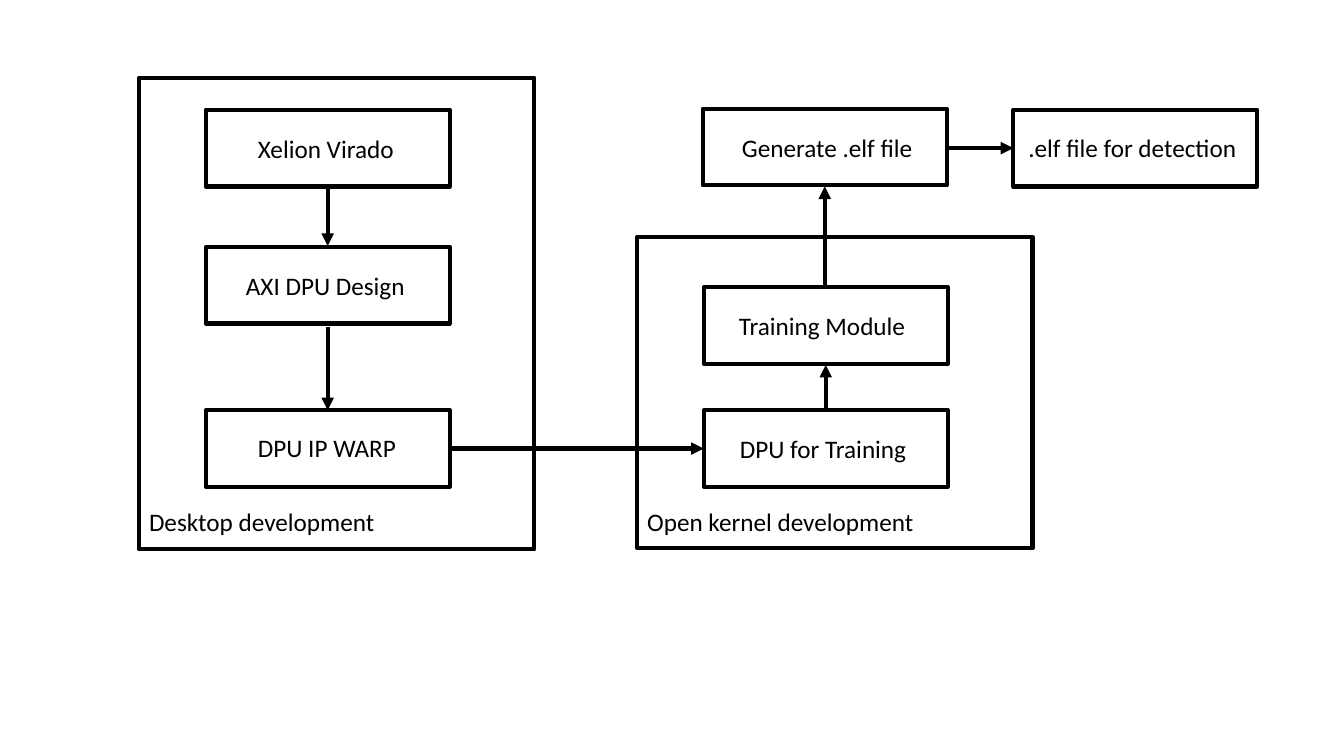
"""Build a slide that shows the flow from desktop design to kernel training."""
from dataclasses import dataclass

from lxml.etree import SubElement
from pptx import Presentation
from pptx.dml.color import RGBColor
from pptx.enum.shapes import MSO_CONNECTOR, MSO_SHAPE
from pptx.enum.text import MSO_AUTO_SIZE
from pptx.oxml.ns import qn
from pptx.slide import Slide
from pptx.util import Emu, Pt

HUES = {"ink": "000000", "paper": "FFFFFF"}
INK = RGBColor.from_string(HUES["ink"])
FONT = "Calibri"
BOX_W, BOX_H = 242, 76
ZONE_W = 392
TEXT_H = 40
LEFT, MID, RIGHT = 204, 698, 1005
TOP, BASE = 109, 407


@dataclass(frozen=True)
class Box:
    x: int
    y: int
    w: int = BOX_W
    h: int = BOX_H


@dataclass(frozen=True)
class Label:
    text: str
    x: int
    y: int
    w: int


@dataclass(frozen=True)
class Arrow:
    x1: int
    y1: int
    x2: int
    y2: int


BOXES = [
    Box(138, 77, ZONE_W, 468),
    Box(632, 235, ZONE_W, 309),
    Box(LEFT, TOP),
    Box(LEFT, 245),
    Box(LEFT, BASE),
    Box(MID, BASE),
    Box(MID, 285),
    Box(MID - 1, TOP - 1),
    Box(RIGHT, TOP),
]

LABELS = [
    Label("Desktop development", 138, 497, 286),
    Label("Open kernel development", 632, 497, 286),
    Label("Xelion Virado", 246, 127, 157),
    Label("AXI DPU Design", 234, 263, 182),
    Label("DPU IP WARP", 246, 424, 157),
    Label("DPU for Training", 724, 425, 190),
    Label("Training Module", 723, 303, 192),
    Label("Generate .elf file", 726, 126, 202),
    Label(".elf file for detection", 1010, 126, 231),
]

ARROWS = [
    Arrow(325, 185, 325, 244),
    Arrow(325, 324, 325, BASE),
    Arrow(LEFT + BOX_W, 445, MID, 445),
    Arrow(819, BASE, 819, 362),
    Arrow(818, 283, 818, 185),
    Arrow(MID + BOX_W, 147, RIGHT, 147),
]


def px(size: int) -> Emu:
    """Turn px into EMU at 100 px to the inch."""
    return Emu(size * 9144)


def draw_box(slide: Slide, box: Box) -> None:
    """Draw one outlined box."""
    shape = slide.shapes.add_shape(
        MSO_SHAPE.RECTANGLE, px(box.x), px(box.y), px(box.w), px(box.h))
    shape.shadow.inherit = False
    shape.fill.background()
    shape.line.color.rgb = INK
    shape.line.width = Pt(3)


def draw_label(slide: Slide, label: Label) -> None:
    """Write one line of text."""
    frame = slide.shapes.add_textbox(
        px(label.x), px(label.y), px(label.w), px(TEXT_H)).text_frame
    frame.word_wrap = True
    frame.auto_size = MSO_AUTO_SIZE.SHAPE_TO_FIT_TEXT
    run = frame.paragraphs[0].add_run()
    run.text = label.text
    run.font.name = FONT
    run.font.size = Pt(18)
    run.font.color.rgb = INK


def draw_arrow(slide: Slide, arrow: Arrow) -> None:
    """Draw one line with a head at its end."""
    link = slide.shapes.add_connector(
        MSO_CONNECTOR.STRAIGHT,
        px(arrow.x1), px(arrow.y1), px(arrow.x2), px(arrow.y2))
    link.line.color.rgb = INK
    link.line.width = Pt(3)
    SubElement(link.line._get_or_add_ln(), qn("a:tailEnd"), type="triangle")
    SubElement(link._element.spPr, qn("a:effectLst"))


def main() -> None:
    """Draw the whole slide and save it."""
    deck = Presentation()
    deck.slide_width, deck.slide_height = px(1333), px(750)
    slide = deck.slides.add_slide(deck.slide_layouts[6])
    back = slide.background.fill
    back.solid()
    back.fore_color.rgb = RGBColor.from_string(HUES["paper"])
    for box in BOXES:
        draw_box(slide, box)
    for label in LABELS:
        draw_label(slide, label)
    for arrow in ARROWS:
        draw_arrow(slide, arrow)
    deck.save("out.pptx")


if __name__ == "__main__":
    main()
